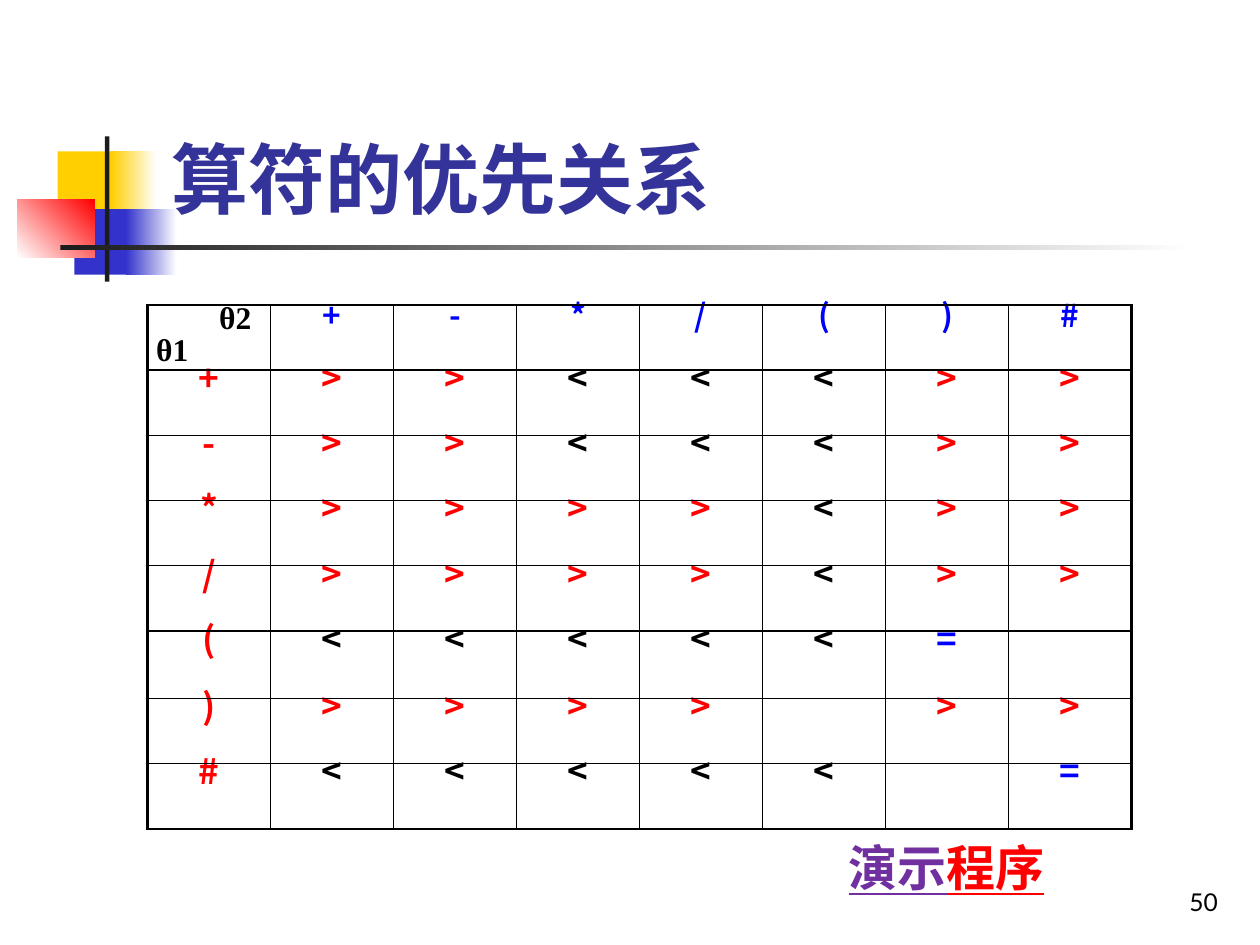
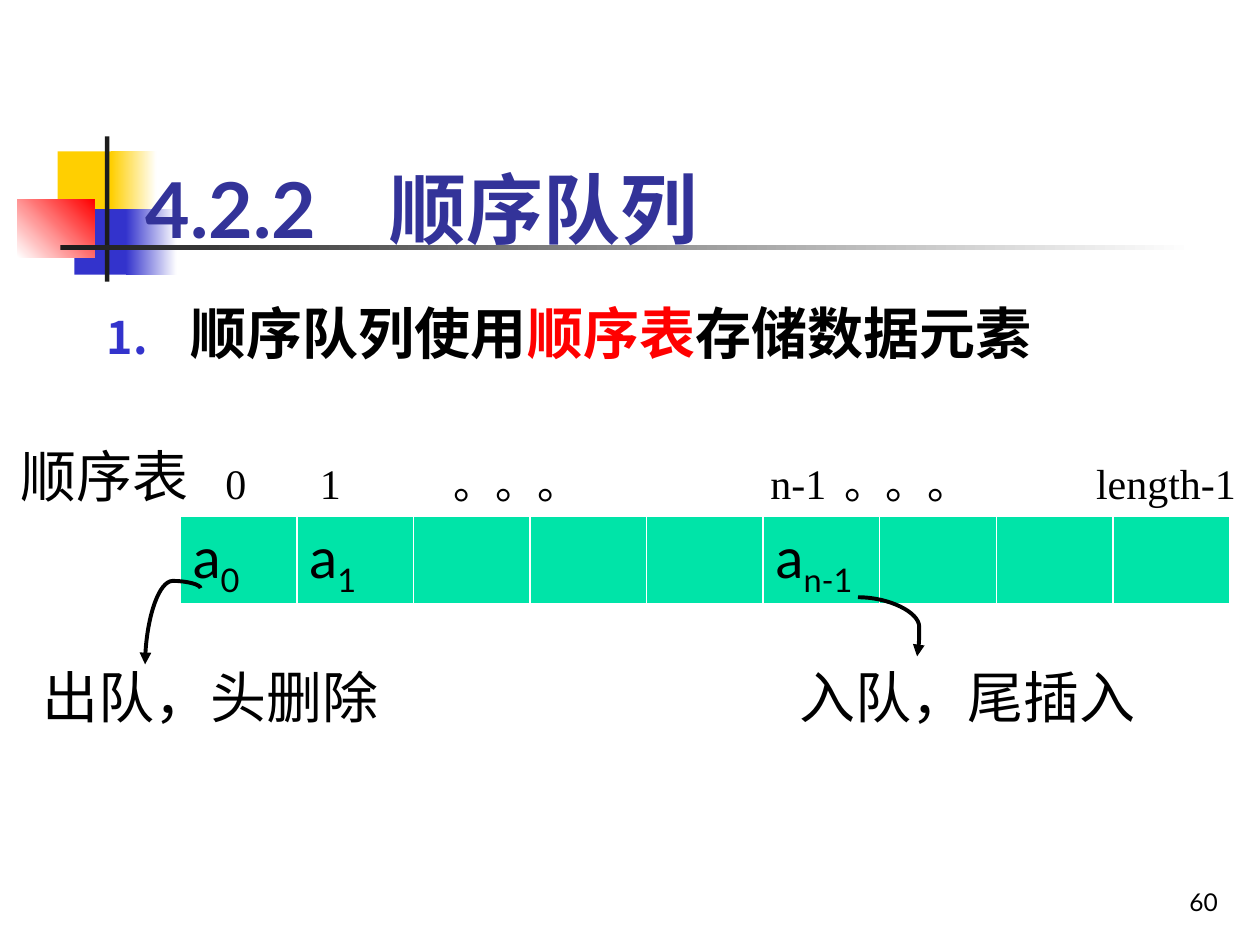
from lxml import etree
from pptx import Presentation
from pptx import util as u
from pptx.dml import color
from pptx.enum import shapes, text
from pptx.oxml import ns

Pt = u.Pt
COLORS = {
    "yellow": "FFCF01", "indigo": "3333CC", "red": "FF0000", "dark": "1C1C1C",
    "white": "FFFFFF", "black": "000000", "title": "333399", "blue": "0000FF",
    "purple": "7030A0", "green": "00E4A8",
}
SANS, CJK, SERIF = "Lato", "Noto Sans CJK SC", "Times New Roman"
LEFT, CENTER, RIGHT = text.PP_ALIGN.LEFT, text.PP_ALIGN.CENTER, text.PP_ALIGN.RIGHT
TOP, BOTTOM = text.MSO_ANCHOR.TOP, text.MSO_ANCHOR.BOTTOM
MOTIF = [
    ((33, 86.5, 34.5, 37.5), ("yellow",), 0),
    ((63.5, 86.5, 26, 37.5), ("yellow", "white"), 0),
    ((42.5, 119.5, 33, 37.5), ("indigo",), 0),
    ((72, 119.5, 29, 37.5), ("indigo", "white"), 0),
    ((10, 114, 44, 33), ("white", "red"), 45),
    ((60, 78, 2.5, 83), ("dark",), 0),
    ((34.5, 140.25, 648, 2.5), ("dark", "white"), 0),
]
OPERATORS = "+-*/()#"
PRECEDENCE = [">><<<>>", ">><<<>>", ">>>><>>", ">>>><>>", "<<<<<= ", ">>>> >>", "<<<<< ="]
RELATION_COLORS = {">": "red", "<": "black", "=": "blue"}


def rgb(name):
    return color.RGBColor.from_string(COLORS[name])


def child(parent, tag, **attributes):
    return etree.SubElement(parent, ns.qn(tag), attributes)


class Deck:
    def __init__(self):
        self.deck = Presentation()
        self.deck.slide_width, self.deck.slide_height = Pt(720), Pt(540)
        self.page = None

    def new_page(self, title, title_at, number, tabs=()):
        self.page = self.deck.slides.add_slide(self.deck.slide_layouts[6])
        for place, colors, angle in MOTIF:
            self.block(place, colors, angle)
        para = self.box((*title_at, 613.5, 66), anchor=BOTTOM)
        self.tabs(para, tabs)
        self.span(para, title, 44, "title", bold=True)
        para = self.box((553, 491, 150, 36), anchor=BOTTOM, align=RIGHT)
        self.span(para, number, 14)

    def block(self, place, colors, angle):
        shape = self.page.shapes.add_shape(shapes.MSO_SHAPE.RECTANGLE, *map(Pt, place))
        shape.shadow.inherit = False
        shape.line.fill.background()
        if len(colors) == 1:
            shape.fill.solid()
            shape.fill.fore_color.rgb = rgb(colors[0])
            return
        shape.fill.gradient()
        shape.fill.gradient_angle = angle
        for stop, name in zip(shape.fill.gradient_stops, colors):
            stop.color.rgb = rgb(name)

    def box(self, place, anchor=TOP, align=LEFT, wrap=True):
        frame = self.page.shapes.add_textbox(*map(Pt, place)).text_frame
        frame.word_wrap = wrap
        frame.vertical_anchor = anchor
        para = frame.paragraphs[0]
        para.alignment = align
        return para

    def span(self, para, words, size, ink="black", font=SANS, bold=False,
             underline=False, subscript=False):
        span = para.add_run()
        span.text = words
        span.font.size = Pt(size)
        span.font.name = font
        span.font.bold = bold
        span.font.color.rgb = rgb(ink)
        if underline:
            span.font.underline = True
        props = span._r.get_or_add_rPr()
        if subscript:
            props.set("baseline", "-25000")
        child(props, "a:ea", typeface=CJK)

    def tabs(self, para, stops):
        if stops:
            stop_list = child(para._p.get_or_add_pPr(), "a:tabLst")
            for stop in stops:
                child(stop_list, "a:tab", pos=str(Pt(stop)), algn="l")

    def indent(self, para, left, first=0):
        props = para._p.get_or_add_pPr()
        props.set("marL", str(Pt(left)))
        props.set("indent", str(Pt(first)))
        return props

    def number_bullet(self, para, ink, percent):
        props = self.indent(para, 48, -48)
        child(child(props, "a:buClr"), "a:srgbClr", val=COLORS[ink])
        child(props, "a:buSzPct", val=str(percent * 1000))
        child(props, "a:buFont", typeface=SANS)
        child(props, "a:buAutoNum", type="arabicPeriod")

    def table(self, left, top, widths, heights):
        frame = self.page.shapes.add_table(len(heights), len(widths), Pt(left), Pt(top),
                                           Pt(sum(widths)), Pt(sum(heights)))
        table = frame.table
        table.first_row = table.horz_banding = False
        for column, width in zip(table.columns, widths):
            column.width = Pt(width)
        for row, height in zip(table.rows, heights):
            row.height = Pt(height)
        return table

    def cell_style(self, cell, ink, widths, fill=None):
        if fill:
            cell.fill.solid()
            cell.fill.fore_color.rgb = rgb(fill)
        else:
            cell.fill.background()
        props = cell._tc.get_or_add_tcPr()
        for index, (side, width) in enumerate(zip("LRTB", widths)):
            edge = etree.Element(ns.qn("a:ln" + side), w=str(Pt(width)))
            child(child(edge, "a:solidFill"), "a:srgbClr", val=COLORS[ink])
            props.insert(index, edge)

    def curve(self, left, top, width, height, bend, turn=0):
        line = self.page.shapes.add_connector(
            shapes.MSO_CONNECTOR.CURVE, Pt(left), Pt(top), Pt(left + width), Pt(top + height))
        line.line.color.rgb = rgb("black")
        line.line.width = Pt(2.25)
        props = line._element.spPr
        props.find(ns.qn("a:xfrm")).set("rot", str(turn * 60000))
        geometry = props.find(ns.qn("a:prstGeom"))
        for guides in geometry.findall(ns.qn("a:avLst")):
            geometry.remove(guides)
        child(child(geometry, "a:avLst"), "a:gd", name="adj1", fmla=f"val {bend}")
        child(line.line._get_or_add_ln(), "a:tailEnd", type="triangle")
        child(props, "a:effectLst")


def precedence_page(deck):
    deck.new_page("算符的优先关系", (90.7, 65.5), "50")
    heights = [37.25] * 5 + [38.6] + [37.25] * 2
    table = deck.table(84.25, 174.25, [70.3] * 8, heights)
    grid = [" " + OPERATORS] + [sign + row for sign, row in zip(OPERATORS, PRECEDENCE)]
    for r, row in enumerate(grid):
        for c, sign in enumerate(row):
            cell = table.cell(r, c)
            heavy = (c == 0, c == 7, r in (0, 1), r in (0, 7))
            deck.cell_style(cell, "black", [1.5 if edge else 1 for edge in heavy])
            cell.margin_left = cell.margin_right = Pt(5)
            cell.margin_top = cell.margin_bottom = 0
            para = cell.text_frame.paragraphs[0]
            para.line_spacing = Pt(18)
            if sign == " ":
                continue
            para.alignment = CENTER
            ink = "blue" if r == 0 else "red" if c == 0 else RELATION_COLORS[sign]
            deck.span(para, sign, 18 if r == 0 else 20, ink, CJK, bold=True)
    corner = table.cell(0, 0).text_frame
    second, first = corner.paragraphs[0], corner.add_paragraph()
    first.line_spacing = Pt(18)
    deck.indent(second, 36)
    for para, label in ((second, "θ2"), (first, "θ1")):
        deck.span(para, label, 18, font=SERIF, bold=True)
    para = deck.box((478, 475.2, 168.5, 41))
    for words, ink in (("演示", "purple"), ("程序", "red")):
        deck.span(para, words, 28, ink, SERIF, bold=True, underline=True)


def queue_page(deck):
    deck.new_page("4.2.2\t顺序队列", (76.3, 82.8), "60", tabs=[139])
    para = deck.box((54, 167, 612, 324))
    deck.number_bullet(para, "indigo", 80)
    for words, ink in (("顺序队列使用", "black"), ("顺序表", "red"), ("存储数据元素", "black")):
        deck.span(para, words, 32, ink, bold=True)

    table = deck.table(103, 295.2, [66.64] * 9, [49])
    subscripts = {0: "0", 1: "1", 5: "n-1"}
    for c in range(9):
        cell = table.cell(0, c)
        deck.cell_style(cell, "white", (1, 1, 1, 3), "green")
        if c in subscripts:
            para = cell.text_frame.paragraphs[0]
            deck.span(para, "a", 32)
            deck.span(para, subscripts[c], 32, subscript=True)

    for words, place in (("顺序表", (4.5, 248.5, 111.5, 46)),
                         ("出队，头删除", (17.3, 375, 208, 46)),
                         ("入队，尾插入", (450, 375, 208, 46))):
        deck.span(deck.box(place, wrap=False), words, 32, font=SERIF)
    para = deck.box((121.7, 257.8, 600, 36))
    deck.tabs(para, [54, 130.5, 311.5, 353.5, 497.5])
    deck.span(para, "0\t1\t。。。\tn-1\t。。。\tlength-1", 24, font=SERIF)

    deck.curve(77, 342, 43.5, 31.7, -9600, turn=90)
    deck.curve(490.3, 341.3, 33.8, 33.8, 103600)


def main():
    deck = Deck()
    precedence_page(deck)
    queue_page(deck)
    deck.deck.save("out.pptx")


if __name__ == "__main__":
    main()
